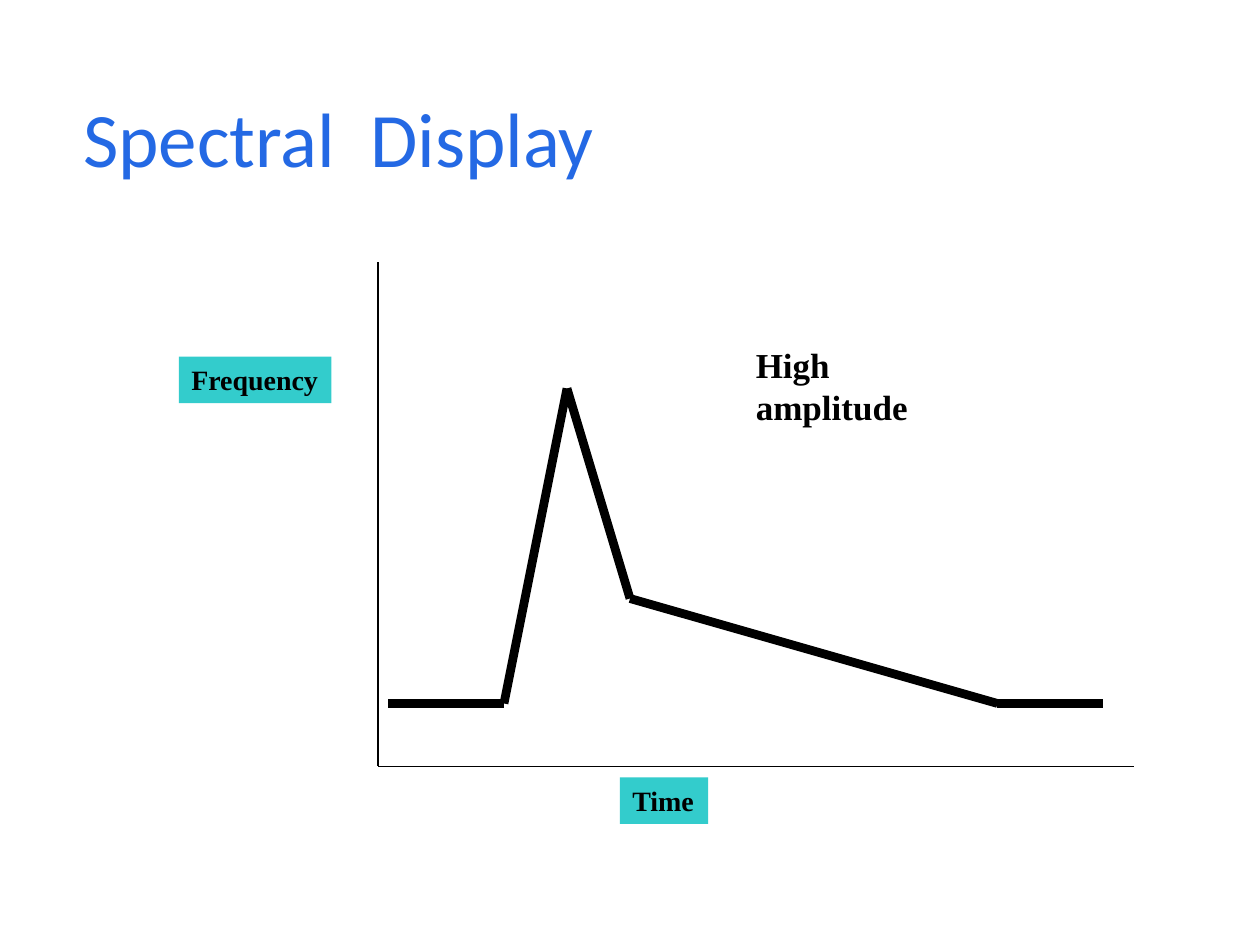
from itertools import pairwise

from lxml.etree import SubElement
from pptx import Presentation
from pptx.dml.color import RGBColor
from pptx.enum.shapes import MSO_CONNECTOR as CONNECTOR, MSO_SHAPE as SHAPE
from pptx.enum.text import MSO_ANCHOR as ANCHOR, PP_ALIGN as ALIGN
from pptx.oxml.ns import qn
from pptx.util import Inches, Pt

COLORS = {"title": "2469E4", "ink": "000000", "label": "33CCCC"}
GRID = 12  # grid steps per inch

# Points in grid steps: column, row
AXES = [(36, 25), (36, 73), (108, 73)]
SPECTRUM = [(37, 67), (48, 67), (54, 37), (60, 57), (95, 67), (105, 67)]


def color(name):
    return RGBColor.from_string(COLORS[name])


def steps(count):
    return Inches(count / GRID)


def write(paragraph, text, size, font, ink, bold=False):
    paragraph.alignment = ALIGN.LEFT
    run = paragraph.add_run()
    run.text = text
    run.font.size = Pt(size)
    run.font.name = font
    run.font.bold = bold
    run.font.color.rgb = color(ink)


def add_title(slide, text):
    title = slide.shapes.title
    title.left, title.top = Inches(0.42), Inches(0.67)
    title.width, title.height = Inches(9), Inches(0.92)
    frame = title.text_frame
    frame.word_wrap = True
    frame.vertical_anchor = ANCHOR.MIDDLE
    frame.margin_left = Inches(0.24)
    frame.paragraphs[0].line_spacing = 0.9
    write(frame.paragraphs[0], text, 44, "Calibri", "title")


def add_path(slide, points, weight):
    for start, end in pairwise(points):
        line = slide.shapes.add_connector(
            CONNECTOR.STRAIGHT, *map(steps, start + end))
        line.line.color.rgb = color("ink")
        line.line.width = Pt(weight)
        SubElement(line._element.spPr, qn("a:effectLst"))


def add_axis_label(slide, text, left, top, width):
    label = slide.shapes.add_shape(
        SHAPE.RECTANGLE, Inches(left), Inches(top), Inches(width), Inches(0.37))
    label.shadow.inherit = False
    label.fill.solid()
    label.fill.fore_color.rgb = color("label")
    label.line.fill.background()
    frame = label.text_frame
    frame.word_wrap = False
    frame.vertical_anchor = ANCHOR.TOP
    write(frame.paragraphs[0], text, 16, "Times New Roman", "ink", bold=True)


def add_note(slide, text, left, top, width, height):
    note = slide.shapes.add_textbox(*map(Inches, (left, top, width, height)))
    frame = note.text_frame
    frame.word_wrap = True
    frame.margin_right = Inches(0.4)
    write(frame.paragraphs[0], text, 20, "Times New Roman", "ink", bold=True)


def main():
    prs = Presentation()
    prs.slide_width, prs.slide_height = Inches(10), Inches(7.5)
    slide = prs.slides.add_slide(prs.slide_layouts[5])

    add_title(slide, "Spectral  Display")

    # Axes and spectrum curve
    add_path(slide, AXES, 0.75)
    add_path(slide, SPECTRUM, 5)

    # Labels
    add_axis_label(slide, "Frequency", 1.42, 2.83, 1.21)
    add_axis_label(slide, "Time", 4.92, 6.17, 0.7)
    add_note(slide, "High amplitude", 5.9, 2.68, 2.06, 0.77)

    prs.save("out.pptx")


if __name__ == "__main__":
    main()
